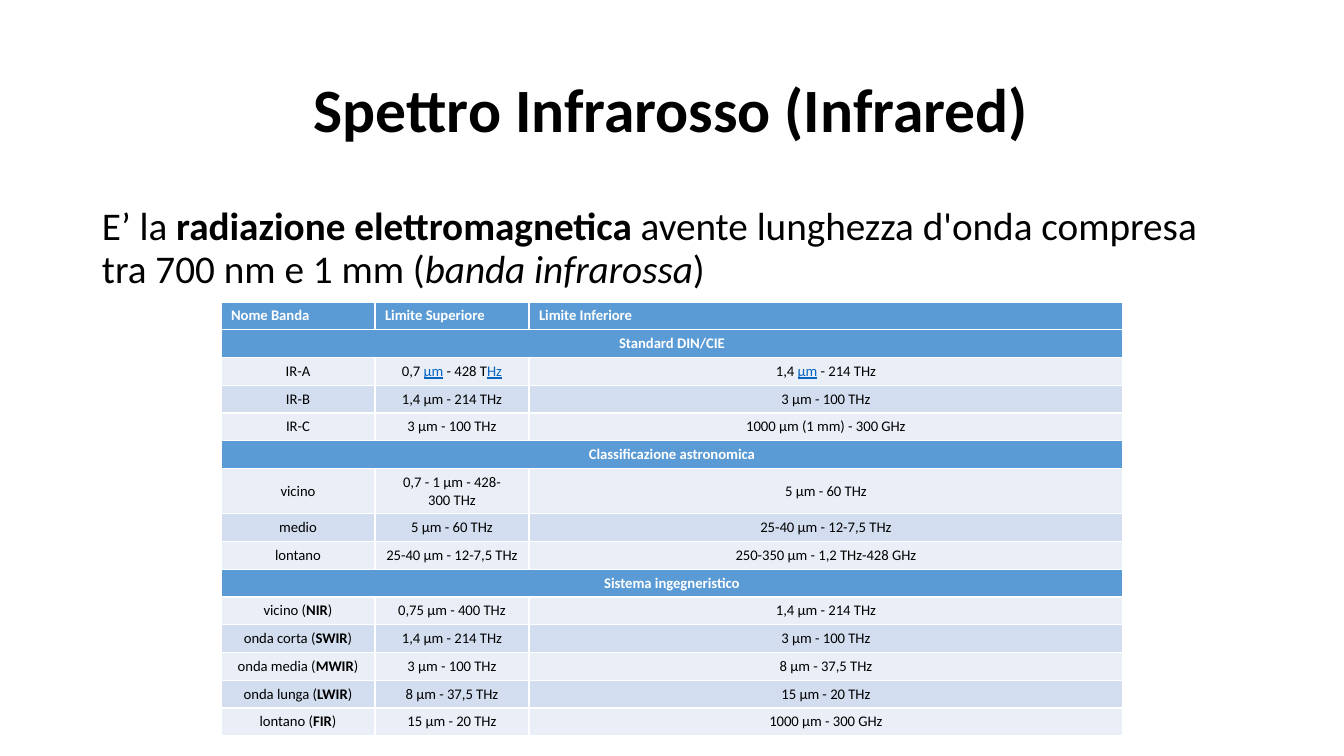
from dataclasses import dataclass, field
from typing import Any, NamedTuple

from pptx import Presentation
from pptx.dml.color import RGBColor
from pptx.enum.text import MSO_ANCHOR as Anchor, PP_ALIGN as Align
from pptx.util import Emu, Pt

PIXEL = 914400 / 100.8


@dataclass(frozen=True)
class Theme:
    font: str = "Calibri"
    black: RGBColor = RGBColor.from_string("000000")
    white: RGBColor = RGBColor.from_string("FFFFFF")
    link: RGBColor = RGBColor.from_string("0563C1")
    header: RGBColor = RGBColor.from_string("5B9BD5")
    bands: tuple = (RGBColor.from_string("EAEFF7"), RGBColor.from_string("D2DEEF"))
    title_size: float = 44
    body_size: float = 28
    table_size: float = 10.5


THEME = Theme()


class Run(NamedTuple):
    text: str
    bold: bool = False
    italic: bool = False
    link: bool = False


class Box(NamedTuple):
    left: int
    top: int
    width: int
    height: int


@dataclass
class TextStyle:
    size: float
    color: RGBColor = THEME.black
    bold: bool = False
    anchor: Any = Anchor.TOP
    paragraph: dict = field(default_factory=dict)


@dataclass
class Section:
    name: str
    rows: list


def px(value: float) -> Emu:
    return Emu(round(value * PIXEL))


def apply(target: Any, values: dict) -> None:
    for name, value in values.items():
        setattr(target, name, value)


def write(frame: Any, content: str | list, style: TextStyle) -> None:
    runs = [Run(content)] if isinstance(content, str) else content
    paragraph = frame.paragraphs[0]
    apply(paragraph, style.paragraph)
    for item in runs:
        run = paragraph.add_run()
        run.text = item.text.replace("~", "\u00a0")
        apply(run.font, {
            "name": THEME.font,
            "size": Pt(style.size),
            "bold": style.bold or item.bold,
            "italic": item.italic,
            "underline": item.link,
        })
        run.font.color.rgb = THEME.link if item.link else style.color


def add_text(slide: Any, box: Box, content: str | list, style: TextStyle) -> None:
    frame = slide.shapes.add_textbox(*map(px, box)).text_frame
    apply(frame, {"word_wrap": True, "vertical_anchor": style.anchor})
    write(frame, content, style)


def fill_cell(cell: Any, content: str | list, fill: RGBColor, style: TextStyle) -> None:
    cell.fill.solid()
    cell.fill.fore_color.rgb = fill
    cell.vertical_anchor = style.anchor
    write(cell.text_frame, content, style)


def add_band_table(slide: Any, box: Box, widths: list, headings: list, sections: list) -> None:
    row_count = 1 + sum(1 + len(section.rows) for section in sections)
    table = slide.shapes.add_table(row_count, len(widths), *map(px, box)).table
    for column, width in zip(table.columns, widths):
        column.width = px(width)
    for row in table.rows:
        row.height = px(ROW_HEIGHT)

    centred = {"alignment": Align.CENTER}
    heading_style = TextStyle(THEME.table_size, THEME.white, True)
    section_style = TextStyle(THEME.table_size, THEME.white, True, paragraph=centred)
    value_style = TextStyle(THEME.table_size, anchor=Anchor.MIDDLE, paragraph=centred)

    for column, heading in enumerate(headings):
        fill_cell(table.cell(0, column), heading, THEME.header, heading_style)
    row = 1
    for section in sections:
        first = table.cell(row, 0)
        first.merge(table.cell(row, len(widths) - 1))
        fill_cell(first, section.name, THEME.header, section_style)
        for row, values in enumerate(section.rows, row + 1):
            for column, value in enumerate(values):
                fill_cell(table.cell(row, column), value, THEME.bands[row % 2], value_style)
        row += 1


def band(name: str, code: str) -> list:
    return [Run(f"{name} ("), Run(code, bold=True), Run(")")]


ROW_HEIGHT = 27
COLUMN_WIDTHS = [154, 154, 594]
MICRON = Run("µm", link=True)
HEADINGS = ["Nome Banda", "Limite Superiore", "Limite Inferiore"]
SECTIONS = [
    Section("Standard DIN/CIE", [
        ["IR-A", [Run("0,7~"), MICRON, Run("~- 428~T"), Run("Hz", link=True)],
         [Run("1,4~"), MICRON, Run("~- 214~THz")]],
        ["IR-B", "1,4~µm - 214~THz", "3~µm - 100~THz"],
        ["IR-C", "3~µm - 100~THz", "1000~µm (1~mm) - 300~GHz"],
    ]),
    Section("Classificazione astronomica", [
        ["vicino", "0,7 - 1~µm - 428-300~THz", "5~µm - 60~THz"],
        ["medio", "5~µm - 60~THz", "25-40~µm - 12-7,5~THz"],
        ["lontano", "25-40~µm - 12-7,5~THz", "250-350~µm - 1,2~THz-428~GHz"],
    ]),
    Section("Sistema ingegneristico", [
        [band("vicino", "NIR"), "0,75~µm - 400~THz", "1,4~µm - 214~THz"],
        [band("onda corta", "SWIR"), "1,4~µm - 214~THz", "3~µm - 100~THz"],
        [band("onda media", "MWIR"), "3~µm - 100~THz", "8~µm - 37,5~THz"],
        [band("onda lunga", "LWIR"), "8~µm - 37,5~THz", "15~µm - 20~THz"],
        [band("lontano", "FIR"), "15~µm - 20~THz", "1000~µm - 300~GHz"],
    ]),
]
DEFINITION = [
    Run("E’ la~"),
    Run("radiazione elettromagnetica~", bold=True),
    Run("avente lunghezza d'onda~compresa tra 700~nm~e 1~mm~("),
    Run("banda infrarossa", italic=True),
    Run(")"),
]

presentation = Presentation()
apply(presentation, {"slide_width": px(1344), "slide_height": px(756)})
slide = presentation.slides.add_slide(presentation.slide_layouts[6])
add_text(slide, Box(92, 40, 1159, 146), "Spettro Infrarosso (Infrared)",
         TextStyle(THEME.title_size, bold=True, anchor=Anchor.MIDDLE,
                   paragraph={"alignment": Align.CENTER, "line_spacing": 0.9}))
add_text(slide, Box(92, 202, 1159, 480), DEFINITION,
         TextStyle(THEME.body_size, paragraph={"line_spacing": 0.9, "space_before": Pt(10)}))
add_band_table(slide, Box(221, 302, sum(COLUMN_WIDTHS), 433), COLUMN_WIDTHS, HEADINGS, SECTIONS)
presentation.save("out.pptx")
